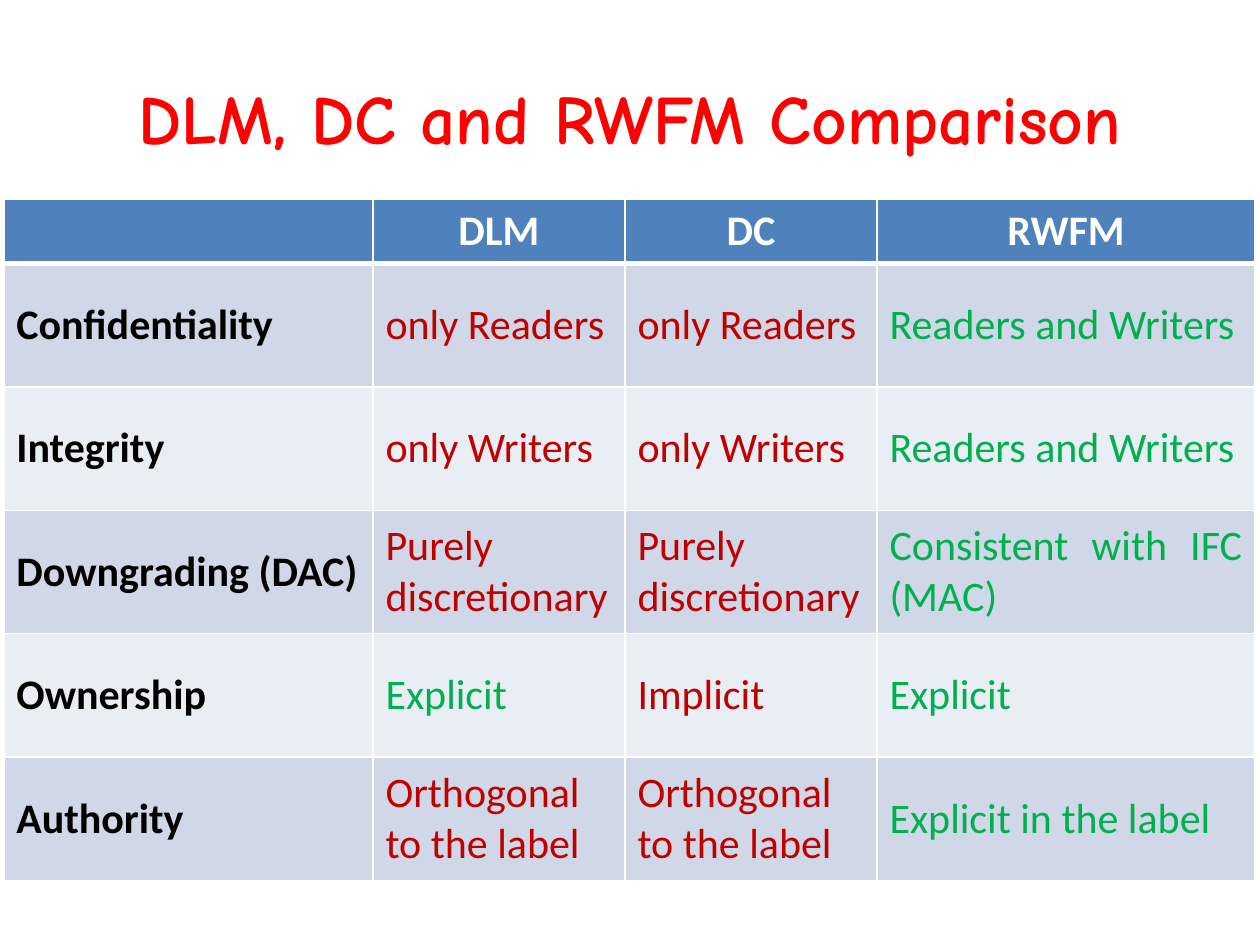
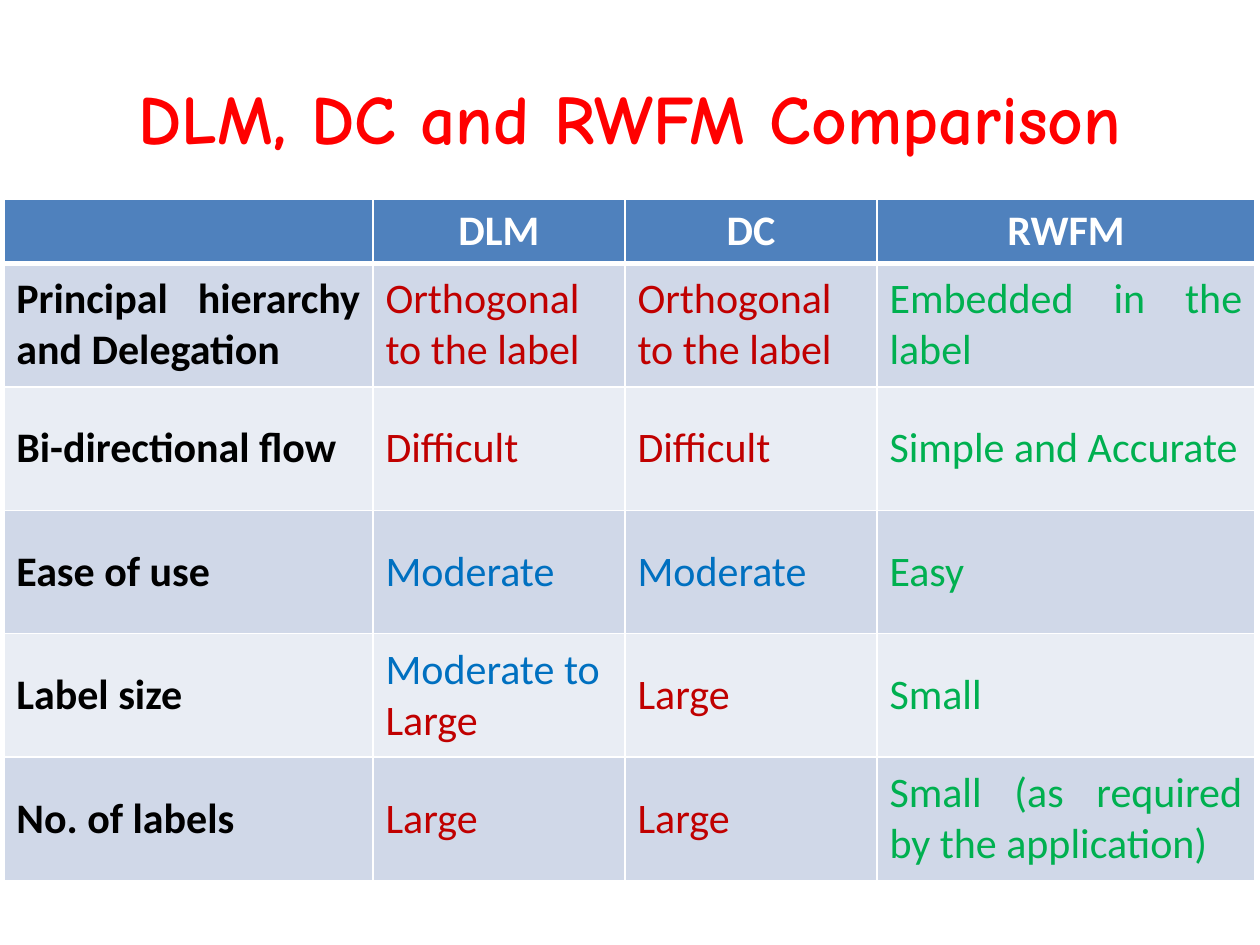
from lxml import etree
from pptx import Presentation
from pptx import util as u
from pptx.dml import color
from pptx.enum import text
from pptx.oxml import ns

TITLE = "DLM, DC and RWFM Comparison"
HEADINGS = ["", "DLM", "DC", "RWFM"]
RED, GREEN, BLUE = "C00000", "00B050", "0070C0"
WHITE, BLACK = "FFFFFF", "000000"
HEADER_FILL = "4F81BD"
BAND_FILLS = ["D0D8E8", "E9EDF4"]

COLUMN_WIDTHS = [2.93, 2, 2, 3]
HEADER_HEIGHT, ROW_HEIGHT = 0.51, 0.98
TABLE_LEFT, TABLE_TOP = 0.03, 1.58

COMPARISONS = [
    [
        ("Confidentiality", [("only Readers", RED)], [("only Readers", RED)],
         [("Readers and Writers", GREEN)]),
        ("Integrity", [("only Writers", RED)], [("only Writers", RED)],
         [("Readers and Writers", GREEN)]),
        ("Downgrading (DAC)", [("Purely discretionary", RED)],
         [("Purely discretionary", RED)], [("Consistent with IFC (MAC)", GREEN)]),
        ("Ownership", [("Explicit", GREEN)], [("Implicit", RED)],
         [("Explicit", GREEN)]),
        ("Authority", [("Orthogonal to the label", RED)],
         [("Orthogonal to the label", RED)], [("Explicit in the label", GREEN)]),
    ],
    [
        ("Principal hierarchy and Delegation", [("Orthogonal to the label", RED)],
         [("Orthogonal to the label", RED)], [("Embedded in the label", GREEN)]),
        ("Bi-directional flow", [("Difficult", RED)], [("Difficult", RED)],
         [("Simple and Accurate", GREEN)]),
        ("Ease of use", [("Moderate", BLUE)], [("Moderate", BLUE)],
         [("Easy", GREEN)]),
        ("Label size", [("Moderate to ", BLUE), ("Large", RED)],
         [("Large", RED)], [("Small", GREEN)]),
        ("No. of labels", [("Large", RED)], [("Large", RED)],
         [("Small (as required by the application)", GREEN)]),
    ],
]


def rgb(value):
    return color.RGBColor.from_string(value)


def write(frame, spans, align, size=24, font="Calibri", bold=False):
    para = frame.paragraphs[0]
    para.alignment = align
    para.font.size = u.Pt(size)
    for words, tint in spans:
        span = para.add_run()
        span.text = words
        span.font.size = u.Pt(size)
        span.font.name = font
        span.font.bold = bold
        span.font.color.rgb = rgb(tint)


def paint(cell, fill, top=1, bottom=1):
    cell.fill.solid()
    cell.fill.fore_color.rgb = rgb(fill)
    properties = cell._tc.get_or_add_tcPr()
    widths = {"lnL": 1, "lnR": 1, "lnT": top, "lnB": bottom}
    for index, (side, width) in enumerate(widths.items()):
        line = etree.Element(ns.qn(f"a:{side}"), w=str(u.Pt(width)))
        solid = etree.SubElement(line, ns.qn("a:solidFill"))
        etree.SubElement(solid, ns.qn("a:srgbClr"), val=WHITE)
        properties.insert(index, line)


def add_title(page):
    box = page.shapes.title
    box.left, box.top = u.Inches(0.5), u.Inches(0.3)
    box.width, box.height = u.Inches(9), u.Inches(1.25)
    box.text_frame.auto_size = text.MSO_AUTO_SIZE.NONE
    box.text_frame.vertical_anchor = text.MSO_ANCHOR.MIDDLE
    write(box.text_frame, [(TITLE, "FF0000")], text.PP_ALIGN.CENTER,
          size=39.6, font="Comic Neue", bold=True)


def add_comparison(page, rows):
    heights = [HEADER_HEIGHT] + [ROW_HEIGHT] * len(rows)
    table = page.shapes.add_table(
        len(heights), len(HEADINGS), u.Inches(TABLE_LEFT), u.Inches(TABLE_TOP),
        u.Inches(sum(COLUMN_WIDTHS)), u.Inches(sum(heights))).table
    for column, width in zip(table.columns, COLUMN_WIDTHS):
        column.width = u.Inches(width)
    for row, height in zip(table.rows, heights):
        row.height = u.Inches(height)

    for index, heading in enumerate(HEADINGS):
        cell = table.cell(0, index)
        paint(cell, HEADER_FILL, bottom=3)
        if heading:
            write(cell.text_frame, [(heading, WHITE)], text.PP_ALIGN.CENTER, bold=True)

    for number, (aspect, *verdicts) in enumerate(rows, start=1):
        for index, spans in enumerate([[(aspect, BLACK)], *verdicts]):
            cell = table.cell(number, index)
            paint(cell, BAND_FILLS[(number - 1) % 2], top=3 if number == 1 else 1)
            cell.vertical_anchor = text.MSO_ANCHOR.MIDDLE
            align = text.PP_ALIGN.JUSTIFY if len(spans) == 1 else text.PP_ALIGN.LEFT
            write(cell.text_frame, spans, align, bold=index == 0)


def main():
    deck = Presentation()
    deck.slide_width, deck.slide_height = u.Inches(10), u.Inches(7.5)
    for rows in COMPARISONS:
        page = deck.slides.add_slide(deck.slide_layouts[5])
        add_title(page)
        add_comparison(page, rows)
    deck.save("out.pptx")


if __name__ == "__main__":
    main()
